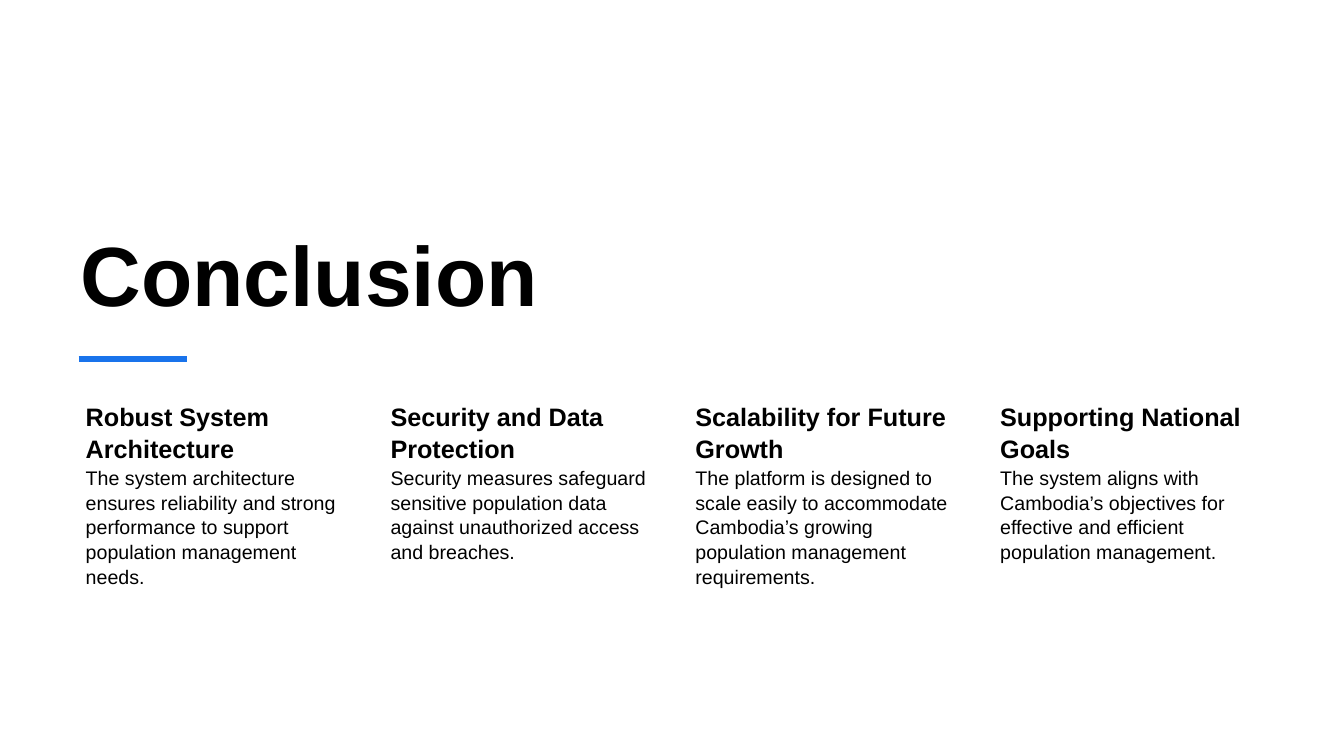
"""Build the conclusion slide with four takeaway columns."""
from lxml import etree
from pptx import Presentation
from pptx.dml.color import RGBColor
from pptx.enum.shapes import MSO_CONNECTOR
from pptx.enum.text import MSO_ANCHOR, PP_ALIGN
from pptx.oxml.ns import qn
from pptx.util import Inches, Pt

STRAIGHT = MSO_CONNECTOR.STRAIGHT
TOP, BOTTOM = MSO_ANCHOR.TOP, MSO_ANCHOR.BOTTOM
LEFT = PP_ALIGN.LEFT

TITLE = "Conclusion"
TAKEAWAYS = [
    ("Robust System Architecture",
     "The system architecture ensures reliability and strong performance "
     "to support population management needs."),
    ("Security and Data Protection",
     "Security measures safeguard sensitive population data against "
     "unauthorized access and breaches."),
    ("Scalability for Future Growth",
     "The platform is designed to scale easily to accommodate Cambodia’s "
     "growing population management requirements."),
    ("Supporting National Goals",
     "The system aligns with Cambodia’s objectives for effective and "
     "efficient population management."),
]
FONT, BLACK, BLUE = "Arial", "000000", "1973EB"
FIRST_LEFT, LAST_LEFT, COLUMN_WIDTH = 0.7, 9.77, 2.75
HEADING_TOP, HEADING_HEIGHT, BODY_HEIGHT = 3.93, 0.66, 2.08


def color(value):
    return RGBColor.from_string(value)


def write(shape, text, size, bold, anchor, spacing):
    frame = shape.text_frame
    frame.word_wrap = True
    frame.vertical_anchor = anchor
    frame.text = text
    paragraph = frame.paragraphs[0]
    paragraph.alignment = LEFT
    paragraph.line_spacing = spacing
    font = paragraph.runs[0].font
    font.name, font.size, font.bold = FONT, Pt(size), bold
    font.color.rgb = color(BLACK)


def add_column_text(slide, left, top, height, inset, text, size, bold, spacing):
    box = slide.shapes.add_textbox(
        Inches(left), Inches(top), Inches(COLUMN_WIDTH), Inches(height))
    frame = box.text_frame
    frame.margin_left = Inches(0.15)
    frame.margin_top = frame.margin_right = frame.margin_bottom = Inches(inset)
    write(box, text, size, bold, TOP, spacing)


def add_accent_line(slide):
    line = slide.shapes.add_connector(
        STRAIGHT, Inches(0.78), Inches(3.56), Inches(1.85), Inches(3.56))
    line.line.color.rgb = color(BLUE)
    line.line.width = Pt(4.5)
    properties = line._element.find(qn("p:spPr"))
    etree.SubElement(properties, qn("a:effectLst"))


def main():
    presentation = Presentation()
    presentation.slide_width = Inches(13.33)
    presentation.slide_height = Inches(7.5)
    slide = presentation.slides.add_slide(presentation.slide_layouts[5])

    title = slide.shapes.title
    title.left, title.top = Inches(FIRST_LEFT), Inches(1.72)
    title.width, title.height = Inches(8.93), Inches(1.54)
    write(title, TITLE, 60, True, BOTTOM, 1.0)

    pitch = (LAST_LEFT - FIRST_LEFT) / (len(TAKEAWAYS) - 1)
    for index, (heading, body) in enumerate(TAKEAWAYS):
        left = FIRST_LEFT + index * pitch
        add_column_text(slide, left, HEADING_TOP, HEADING_HEIGHT,
                        0.03, heading, 18, True, 1.07)
        add_column_text(slide, left, HEADING_TOP + HEADING_HEIGHT, BODY_HEIGHT,
                        0.02, body, 14, False, 1.05)

    add_accent_line(slide)
    presentation.save("out.pptx")


if __name__ == "__main__":
    main()
